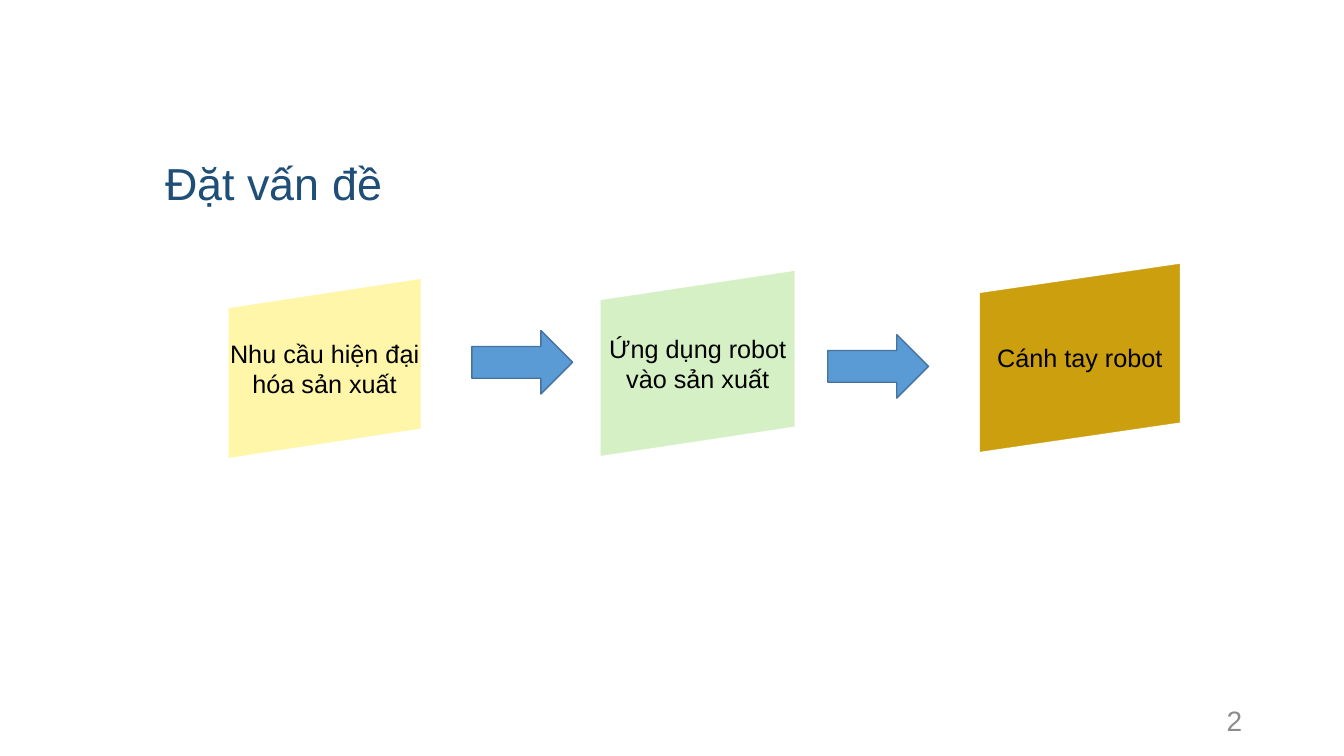
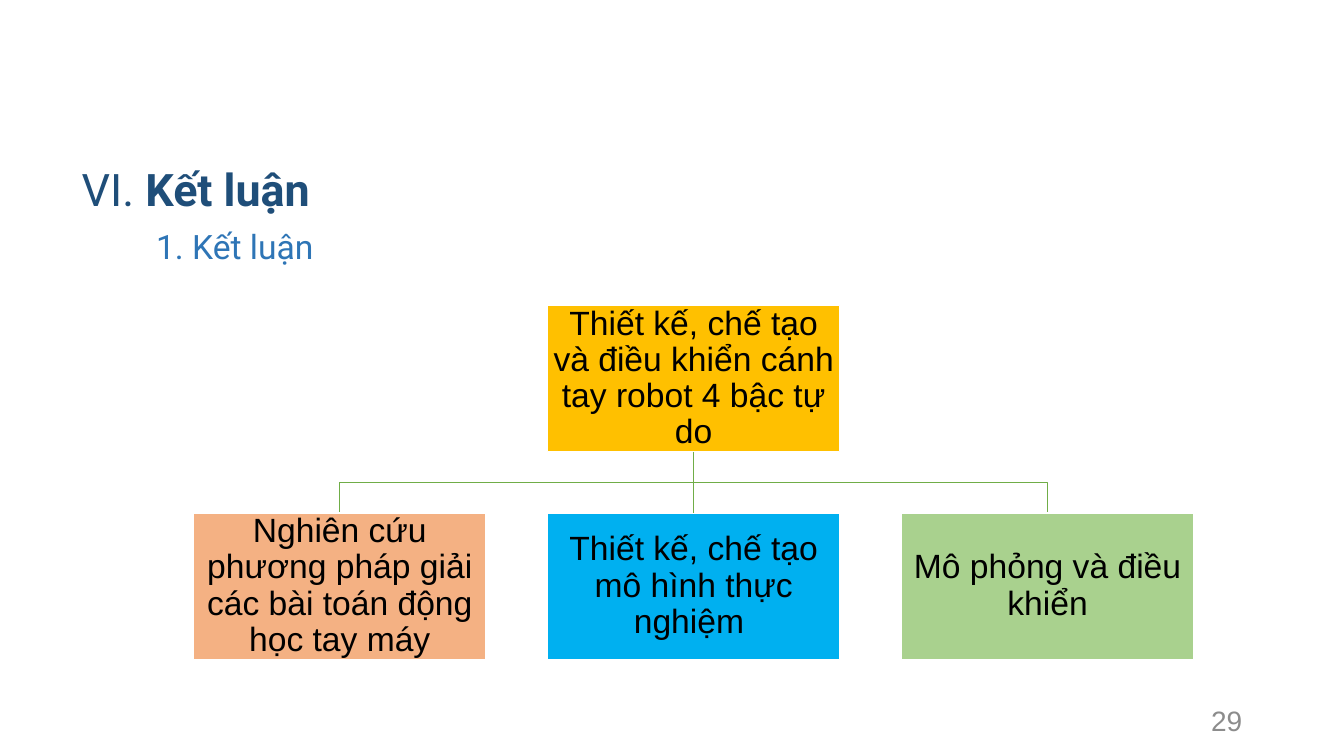
from pptx import Presentation
from pptx.dml.color import RGBColor
from pptx.enum.shapes import MSO_CONNECTOR, MSO_SHAPE
from pptx.enum.text import MSO_ANCHOR, MSO_AUTO_SIZE, PP_ALIGN
from pptx.oxml.ns import qn
from pptx.util import Inches, Pt
from lxml import etree

LEFT, CENTER, RIGHT = PP_ALIGN.LEFT, PP_ALIGN.CENTER, PP_ALIGN.RIGHT
TOP, MIDDLE = MSO_ANCHOR.TOP, MSO_ANCHOR.MIDDLE
RECTANGLE, ARROW = MSO_SHAPE.RECTANGLE, MSO_SHAPE.RIGHT_ARROW
STRAIGHT = MSO_CONNECTOR.STRAIGHT
BOTTOM_SIDE, TOP_SIDE = 2, 0

NAVY, BLUE, GRAY, BLACK, WHITE = "1F4E79", "2E75B6", "8C8C8C", "000000", "FFFFFF"
ARROW_FILL, ARROW_LINE, TREE_LINE = "5B9BD5", "43739E", "70AD47"


def write(shape, spans, size, color, font="Arial", align=CENTER, anchor=MIDDLE,
          margins=(0.1, 0.05), wrap=True, spacing=1.0):
    """Fill a shape with one paragraph made of (text, bold) spans."""
    frame = shape.text_frame
    across, down = (Inches(margin) for margin in margins)
    frame_format = {
        "word_wrap": wrap, "auto_size": MSO_AUTO_SIZE.NONE, "vertical_anchor": anchor,
        "margin_left": across, "margin_right": across,
        "margin_top": down, "margin_bottom": down,
    }
    for name, value in frame_format.items():
        setattr(frame, name, value)
    para = frame.paragraphs[0]
    para.alignment, para.line_spacing = align, spacing
    for text, bold in spans:
        span = para.add_run()
        span.text = text
        for name, value in {"name": font, "size": Pt(size), "bold": bold}.items():
            setattr(span.font, name, value)
        span.font.color.rgb = RGBColor.from_string(color)


def paint(shape, fill, line, width=1):
    shape.shadow.inherit = False
    if fill:
        shape.fill.solid()
        shape.fill.fore_color.rgb = RGBColor.from_string(fill)
    else:
        shape.fill.background()
    shape.line.color.rgb = RGBColor.from_string(line)
    shape.line.width = Pt(width)


deck = Presentation()
deck.slide_width, deck.slide_height = Inches(13.33), Inches(7.5)
title_only = deck.slide_layouts[5]

# Titles and page numbers
headings = [
    ((1.54, 1.49, 2.78, 0.64), [("Đặt vấn đề", False)], "Arial", "2"),
    ((0.71, 1.55, 10.34, 0.64), [("VI. ", False), ("Kết luận", True)], "Roboto", "29"),
]
pages = []
for place, spans, font, number in headings:
    page = deck.slides.add_slide(title_only)
    title = page.shapes.title
    for name, value in zip(("left", "top", "width", "height"), place):
        setattr(title, name, Inches(value))
    write(title, spans, 32, NAVY, font, LEFT, TOP)
    box = page.shapes.add_textbox(Inches(9.42), Inches(6.95), Inches(3), Inches(0.4))
    write(box, [(number, False)], 20, GRAY, align=RIGHT)
    pages.append(page)
problem, conclusion = pages

# Problem: three slanted panels with arrows between them
RISE = 0.29
panels = [
    (2.27, 2.77, 1.9, 1.77, "FFF6AA", "Nhu cầu hiện đại hóa sản xuất"),
    (5.96, 2.69, 1.92, 1.83, "D5F0C5", "Ứng dụng robot vào sản xuất"),
    (9.72, 2.62, 1.98, 1.86, "CC9F0E", "Cánh tay robot"),
]
for left, top, width, height, fill, text in panels:
    right, bottom = left + width, top + height
    outline = problem.shapes.build_freeform(Inches(left), Inches(top + RISE))
    outline.add_line_segments([
        (Inches(x), Inches(y)) for x, y in
        [(right, top), (right, bottom - RISE), (left, bottom)]
    ])
    panel = outline.convert_to_shape()
    paint(panel, fill, fill, 0.25)
    write(panel, [(text, False)], 18, BLACK, margins=(0, 0))

for left, top in [(4.68, 3.28), (8.21, 3.32)]:
    arrow = problem.shapes.add_shape(
        ARROW, Inches(left), Inches(top), Inches(1), Inches(0.63))
    paint(arrow, ARROW_FILL, ARROW_LINE)

# Conclusion: subtitle and a tree of one goal and three tasks
subtitle = conclusion.shapes.add_textbox(
    Inches(1.45), Inches(2.19), Inches(1.81), Inches(0.5))
write(subtitle, [("1. Kết luận", False)], 24, BLUE, "Roboto", LEFT, TOP, wrap=False)

BOX_WIDTH, BOX_HEIGHT, STEP = 2.9, 1.45, 3.51
GOAL_TOP, TASK_TOP, MIDDLE_LEFT = 3.03, 5.09, 5.43
TRUNK_X, TRUNK_TOP = MIDDLE_LEFT + BOX_WIDTH / 2, GOAL_TOP + BOX_HEIGHT
BRANCH_Y = (TRUNK_TOP + TASK_TOP) / 2

for side in (-1, 1):
    branch_x = TRUNK_X + side * STEP
    outline = conclusion.shapes.build_freeform(Inches(TRUNK_X), Inches(TRUNK_TOP))
    outline.add_line_segments([
        (Inches(x), Inches(y)) for x, y in
        [(TRUNK_X, BRANCH_Y), (branch_x, BRANCH_Y), (branch_x, TASK_TOP)]
    ], close=False)
    paint(outline.convert_to_shape(), None, TREE_LINE)

tree = [
    (0, GOAL_TOP, "FFC000", "Thiết kế, chế tạo và điều khiển cánh tay robot 4 bậc tự do"),
    (-1, TASK_TOP, "F4B183", "Nghiên cứu phương pháp giải các bài toán động học tay máy"),
    (0, TASK_TOP, "00B0F0", "Thiết kế, chế tạo mô hình thực nghiệm "),
    (1, TASK_TOP, "A9D18E", "Mô phỏng và điều khiển"),
]
boxes = []
for column, top, fill, text in tree:
    box = conclusion.shapes.add_shape(
        RECTANGLE, Inches(MIDDLE_LEFT + column * STEP), Inches(top),
        Inches(BOX_WIDTH), Inches(BOX_HEIGHT))
    paint(box, fill, WHITE)
    write(box, [(text, False)], 24, BLACK, margins=(0.02, 0.02), spacing=0.9)
    boxes.append(box)

goal, _, middle_task, _ = boxes
trunk = conclusion.shapes.add_connector(STRAIGHT, 0, 0, 0, 0)
trunk.begin_connect(goal, BOTTOM_SIDE)
trunk.end_connect(middle_task, TOP_SIDE)
trunk.line.color.rgb = RGBColor.from_string(TREE_LINE)
trunk.line.width = Pt(1)
etree.SubElement(trunk._element.spPr, qn("a:effectLst"))

deck.save("out.pptx")
